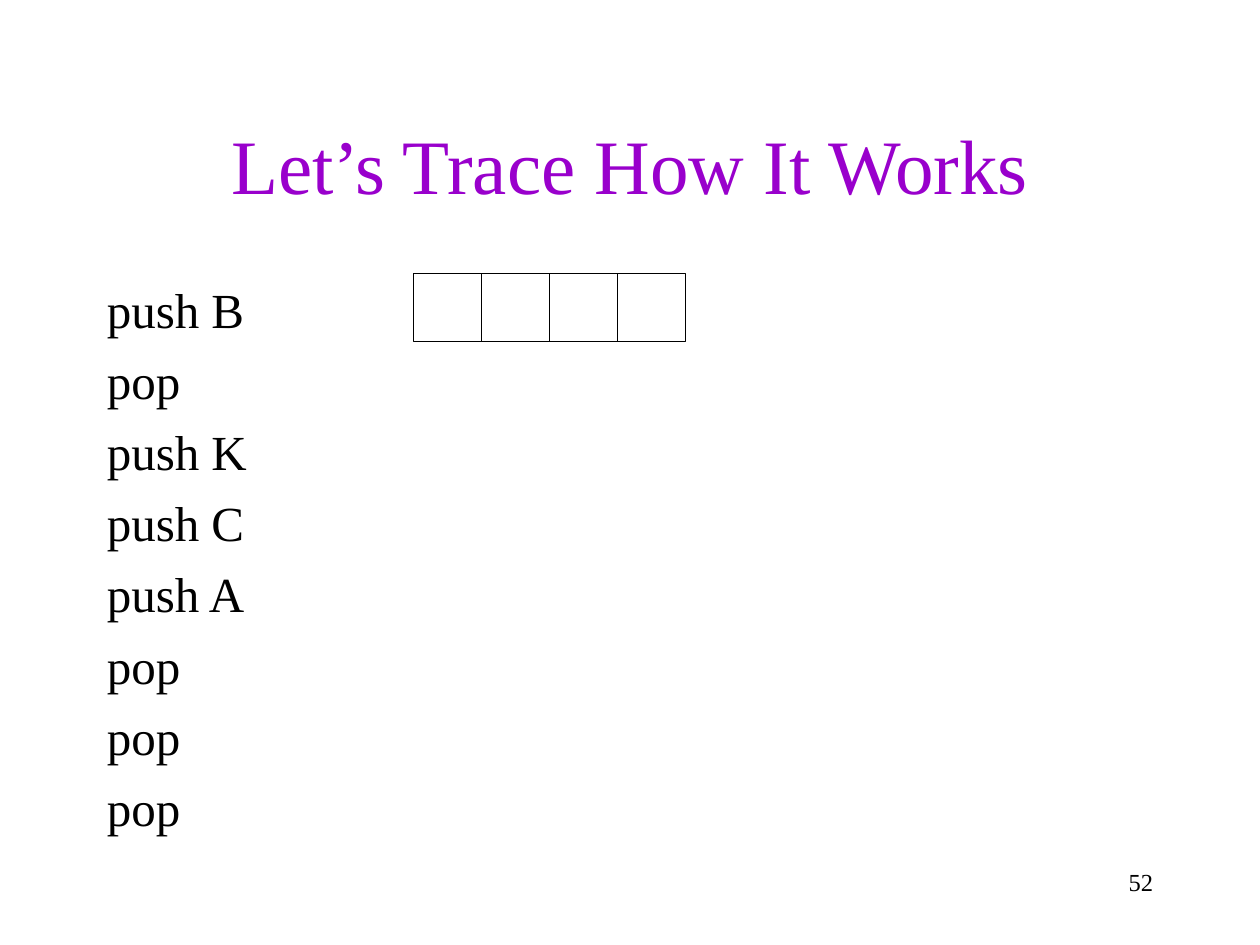
import dataclasses

import pptx
import pptx.dml.color
import pptx.enum.shapes
import pptx.enum.text
import pptx.util

Inches = pptx.util.Inches
Pt = pptx.util.Pt
Align = pptx.enum.text.PP_ALIGN
Anchor = pptx.enum.text.MSO_ANCHOR

COLORS = {"title": "9900CC", "ink": "000000"}
FONT = "Times New Roman"


@dataclasses.dataclass
class TextBlock:
    left: float
    top: float
    width: float
    height: float
    lines: list[str]
    size: int
    color: str = "ink"
    align: Align = Align.LEFT
    anchor: Anchor = Anchor.TOP
    space_before: int = 0


def rgb(name: str) -> pptx.dml.color.RGBColor:
    return pptx.dml.color.RGBColor.from_string(COLORS[name])


def draw_text(page, block: TextBlock) -> None:
    box = page.shapes.add_textbox(
        Inches(block.left), Inches(block.top), Inches(block.width), Inches(block.height)
    )
    frame = box.text_frame
    frame.word_wrap = True
    frame.vertical_anchor = block.anchor
    for index, line in enumerate(block.lines):
        para = frame.add_paragraph() if index else frame.paragraphs[0]
        para.alignment = block.align
        para.space_before = Pt(block.space_before)
        span = para.add_run()
        span.text = line
        span.font.name = FONT
        span.font.size = Pt(block.size)
        span.font.color.rgb = rgb(block.color)


def draw_stack(page, left: float, top: float, side: float, count: int) -> None:
    stack = page.shapes.add_group_shape()
    for index in range(count):
        cell = stack.shapes.add_shape(
            pptx.enum.shapes.MSO_SHAPE.RECTANGLE,
            Inches(left + index * side), Inches(top), Inches(side), Inches(side),
        )
        cell.shadow.inherit = False
        cell.fill.background()
        cell.line.color.rgb = rgb("ink")
        cell.line.width = Pt(0.75)


deck = pptx.Presentation()
deck.slide_width = Inches(10)
deck.slide_height = Inches(7.5)
page = deck.slides.add_slide(deck.slide_layouts[6])

# Title, operations and page number
operations = ["push B", "pop", "push K", "push C", "push A", "pop", "pop", "pop"]
blocks = [
    TextBlock(0.75, 0.67, 8.5, 1.25, ["Let’s Trace How It Works"], 44,
              color="title", align=Align.CENTER, anchor=Anchor.MIDDLE),
    TextBlock(0.75, 2.17, 8.5, 4.5, operations, 28, space_before=7),
    TextBlock(7.17, 6.83, 2.08, 0.5, ["52"], 14, align=Align.RIGHT),
]
for block in blocks:
    draw_text(page, block)

# Empty stack cells
draw_stack(page, left=3.28, top=2.17, side=0.54, count=4)

deck.save("out.pptx")
